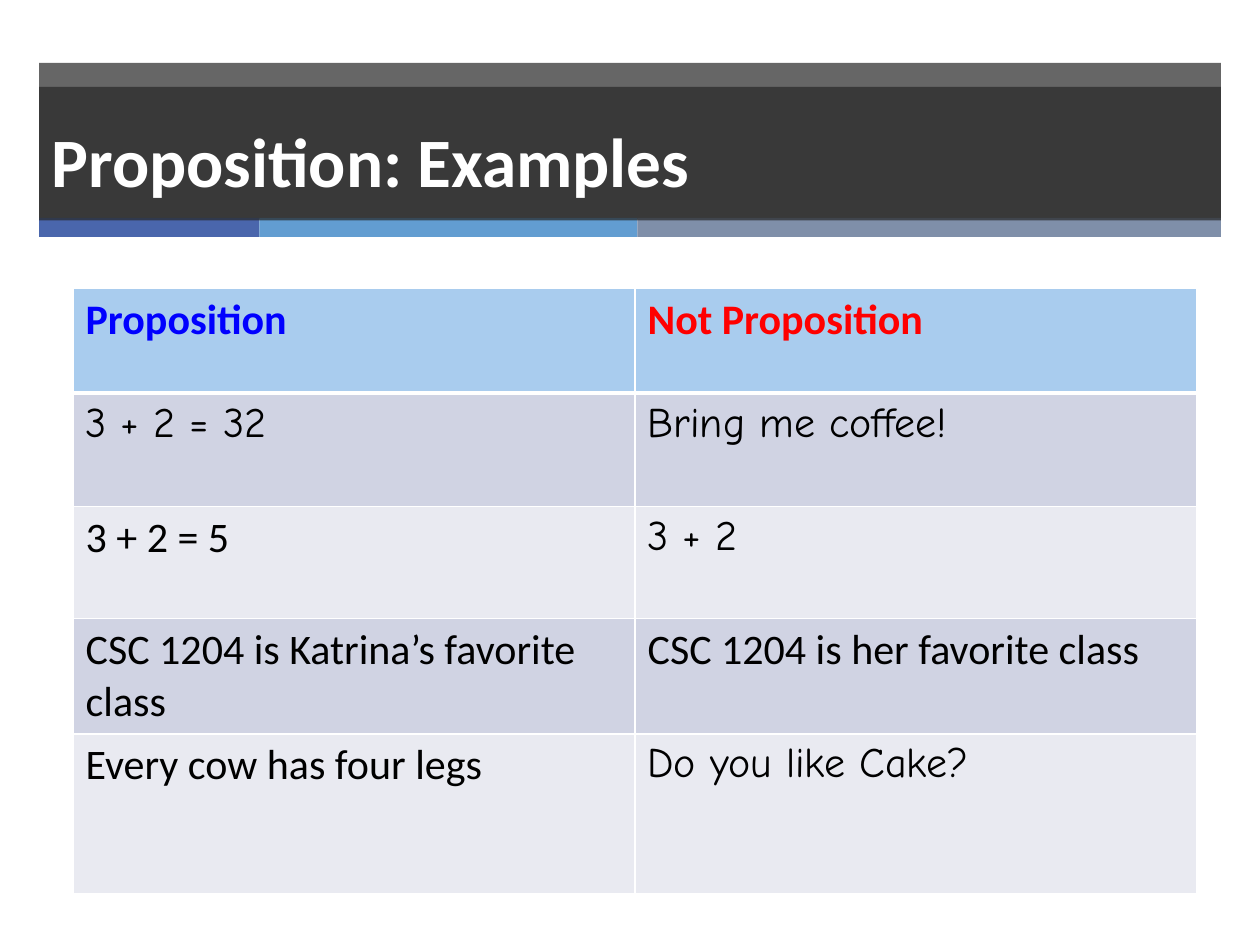
from dataclasses import dataclass

from lxml.etree import SubElement
from pptx import Presentation
from pptx.dml.color import RGBColor
from pptx.enum.shapes import MSO_SHAPE
from pptx.enum.text import MSO_ANCHOR, PP_ALIGN
from pptx.oxml.ns import qn
from pptx.util import Inches, Pt


@dataclass(frozen=True)
class Theme:
    band: str = "262626"
    band_opacity: int = 70
    accents: tuple = ("4A66AC", "629DD1", "7F8FA9")
    white: str = "FFFFFF"
    text: str = "000000"
    header_text: tuple = ("0000FF", "FF0000")
    header_fill: str = "A9CCEE"
    row_fills: tuple = ("D0D3E3", "E9EAF1")
    font: str = "Calibri"
    casual_font: str = "Comic Neue"
    title_size: float = 39.6
    table_size: int = 24
    border: int = 1
    header_rule: int = 3


THEME = Theme()

TITLE = "Proposition: Examples"
HEADERS = ("Proposition", "Not Proposition")
EXAMPLES = [
    ("3 + 2 = 32", "Bring me coffee!"),
    ("3 + 2 = 5", "3 + 2"),
    ("CSC 1204 is Katrina’s favorite class", "CSC 1204 is her favorite class"),
    ("Every cow has four legs", "Do you like Cake?"),
]
CASUAL = {"3 + 2 = 32", "Bring me coffee!", "3 + 2", "Do you like Cake?"}

BAND_LEFT, BAND_WIDTH = 0.31, 9.38
ACCENT_WIDTHS = (1.75, 3, 4.63)
TABLE_LEFT, TABLE_TOP, COLUMN_WIDTH = 0.58, 2.29, 4.46
ROW_HEIGHTS = (0.83, 0.9, 0.89, 0.91, 1.27)


def add_bar(slide, left, top, width, height, color, opacity=100):
    bar = slide.shapes.add_shape(
        MSO_SHAPE.RECTANGLE, Inches(left), Inches(top), Inches(width), Inches(height)
    )
    bar.shadow.inherit = False
    bar.line.fill.background()
    bar.fill.solid()
    bar.fill.fore_color.rgb = RGBColor.from_string(color)
    if opacity < 100:
        tint = bar._element.spPr.find(qn("a:solidFill"))[0]
        SubElement(tint, qn("a:alpha"), val=str(opacity * 1000))
    return bar


def style_text(frame, font_name, size, color, bold=False):
    font = frame.paragraphs[0].runs[0].font
    font.name = font_name
    font.size = Pt(size)
    font.bold = bold
    font.color.rgb = RGBColor.from_string(color)


def add_borders(cell, widths):
    properties = cell._tc.get_or_add_tcPr()
    for side, width in widths.items():
        border = SubElement(properties, qn(f"a:ln{side}"), w=str(Pt(width)))
        paint = SubElement(border, qn("a:solidFill"))
        SubElement(paint, qn("a:srgbClr"), val=THEME.white)


def add_title(slide):
    add_bar(slide, BAND_LEFT, 0.5, BAND_WIDTH, 1.24, THEME.band, THEME.band_opacity)
    left = BAND_LEFT
    for width, color in zip(ACCENT_WIDTHS, THEME.accents):
        add_bar(slide, left, 1.73, width, 0.15, color)
        left += width
    title = add_bar(
        slide, BAND_LEFT, 0.69, BAND_WIDTH, 1.06, THEME.band, THEME.band_opacity
    )
    frame = title.text_frame
    frame.word_wrap = True
    frame.vertical_anchor = MSO_ANCHOR.MIDDLE
    frame.margin_top, frame.margin_bottom = Inches(0.15), Inches(0.05)
    frame.text = TITLE
    frame.paragraphs[0].alignment = PP_ALIGN.LEFT
    style_text(frame, THEME.font, THEME.title_size, THEME.white, bold=True)


def add_examples(slide):
    rows = [HEADERS, *EXAMPLES]
    table = slide.shapes.add_table(
        len(rows), len(HEADERS), Inches(TABLE_LEFT), Inches(TABLE_TOP),
        Inches(COLUMN_WIDTH * len(HEADERS)), Inches(sum(ROW_HEIGHTS)),
    ).table
    for column in table.columns:
        column.width = Inches(COLUMN_WIDTH)
    for r, (height, entries) in enumerate(zip(ROW_HEIGHTS, rows)):
        table.rows[r].height = Inches(height)
        is_header = r == 0
        fill = THEME.header_fill if is_header else THEME.row_fills[(r - 1) % 2]
        for c, entry in enumerate(entries):
            cell = table.cell(r, c)
            widths = dict.fromkeys("LRTB", THEME.border)
            if r < 2:
                widths["B" if is_header else "T"] = THEME.header_rule
            add_borders(cell, widths)
            cell.fill.solid()
            cell.fill.fore_color.rgb = RGBColor.from_string(fill)
            cell.text_frame.text = entry
            style_text(
                cell.text_frame,
                THEME.casual_font if entry in CASUAL else THEME.font,
                THEME.table_size,
                THEME.header_text[c] if is_header else THEME.text,
                bold=is_header,
            )


def main():
    deck = Presentation()
    deck.slide_width, deck.slide_height = Inches(10), Inches(7.5)
    slide = deck.slides.add_slide(deck.slide_layouts[6])
    add_title(slide)
    add_examples(slide)
    deck.save("out.pptx")


if __name__ == "__main__":
    main()
